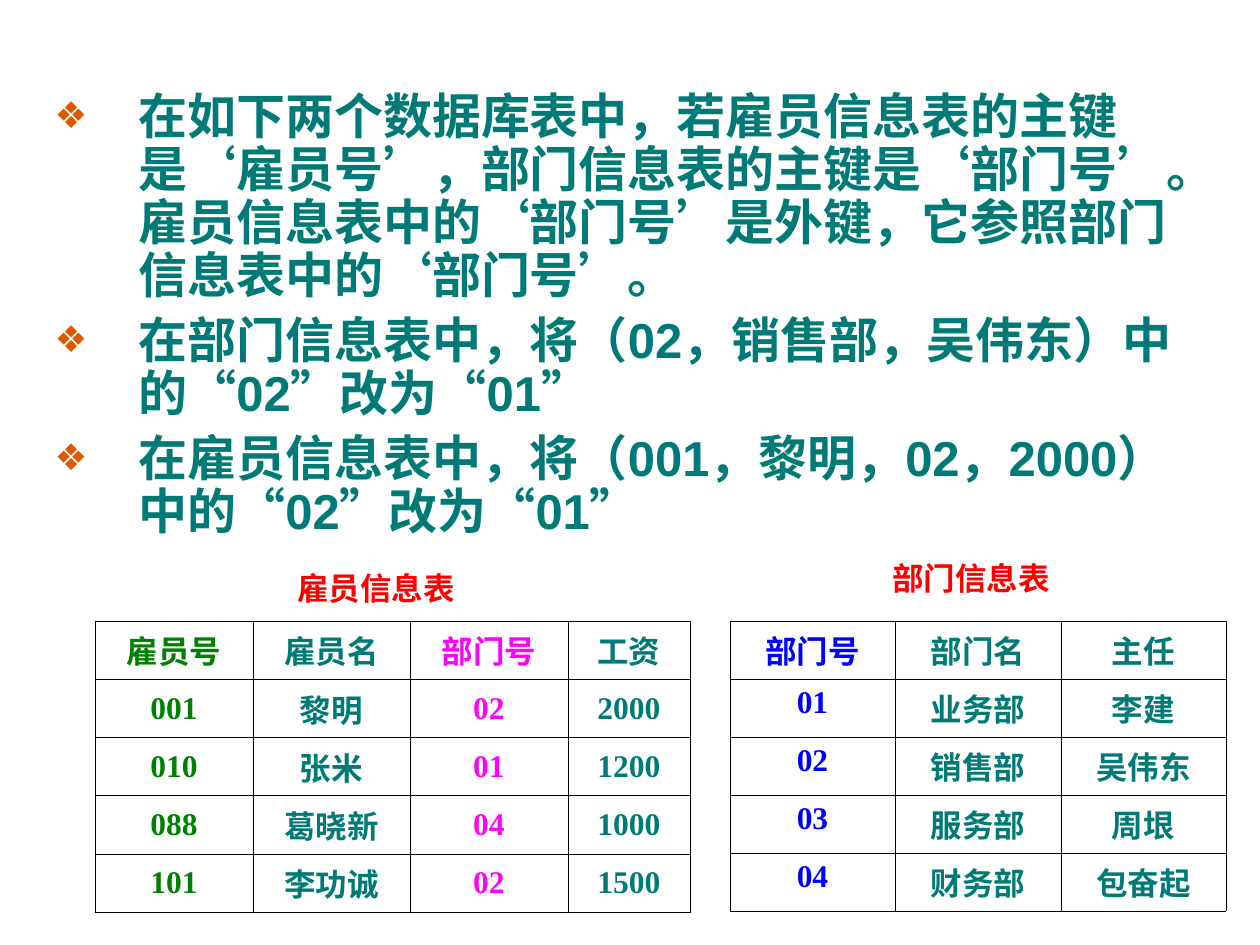
from lxml import etree
from pptx import Presentation, util as u
from pptx.dml.color import RGBColor
from pptx.enum import text
from pptx.oxml import ns

# Content
RULES = [
    "在如下两个数据库表中，若雇员信息表的主键是‘雇员号’，部门信息表的主键是‘部门号’。"
    "雇员信息表中的‘部门号’是外键，它参照部门信息表中的‘部门号’。",
    "在部门信息表中，将（02，销售部，吴伟东）中的“02”改为“01”",
    "在雇员信息表中，将（001，黎明，02，2000）中的“02”改为“01”",
]
TABLES = [
    {
        "caption": "雇员信息表", "caption_at": (285, 562),
        "left": 95, "widths": [158, 157, 158, 122],
        "colours": ["employee_key", "body", "foreign_key", "body"],
        "anchor": text.MSO_ANCHOR.MIDDLE,
        "rows": [
            ("雇员号", "雇员名", "部门号", "工资"),
            ("001", "黎明", "02", "2000"),
            ("010", "张米", "01", "1200"),
            ("088", "葛晓新", "04", "1000"),
            ("101", "李功诚", "02", "1500"),
        ],
    },
    {
        "caption": "部门信息表", "caption_at": (880, 552),
        "left": 730, "widths": [165, 166, 165],
        "colours": ["department_key", "body", "body"],
        "anchor": text.MSO_ANCHOR.TOP,
        "rows": [
            ("部门号", "部门名", "主任"),
            ("01", "业务部", "李建"),
            ("02", "销售部", "吴伟东"),
            ("03", "服务部", "周垠"),
            ("04", "财务部", "包奋起"),
        ],
    },
]
COLOURS = {
    "body": "007A77", "bullet": "DC5900", "caption": "FF0000",
    "employee_key": "008000", "foreign_key": "FF00FF",
    "department_key": "0000FF", "border": "000000", "cell": "FFFFFF",
}
TABLE_TOP, ROW_HEIGHT = 621, 58
CAPTION_SIZE = (189, 51)
INDENT = 84


def px(n):
    return n * u.Inches(1) // 126


def add_xml(parent, tag, **attributes):
    return etree.SubElement(parent, ns.qn(tag), attributes)


def style(paragraph, size, face, colour):
    for run in paragraph.runs:
        run.font.size = u.Pt(size)
        run.font.name = face
        run.font.bold = True
        run.font.color.rgb = RGBColor.from_string(COLOURS[colour])


def add_bullet(paragraph):
    properties = paragraph._p.get_or_add_pPr()
    properties.set("marL", str(px(INDENT)))
    properties.set("indent", str(-px(INDENT)))
    colour = add_xml(properties, "a:buClr")
    add_xml(colour, "a:srgbClr", val=COLOURS["bullet"])
    add_xml(properties, "a:buSzPct", val="75000")
    add_xml(properties, "a:buFont", typeface="Arial")
    add_xml(properties, "a:buChar", char="❖")


def add_borders(cell):
    properties = cell._tc.get_or_add_tcPr()
    for side in ("a:lnL", "a:lnR", "a:lnT", "a:lnB"):
        line = add_xml(properties, side, w=str(u.Pt(0.45)))
        fill = add_xml(line, "a:solidFill")
        add_xml(fill, "a:srgbClr", val=COLOURS["border"])


def add_caption(slide, spec_table):
    box = slide.shapes.add_textbox(
        *map(px, spec_table["caption_at"] + CAPTION_SIZE))
    frame = box.text_frame
    frame.word_wrap = False
    frame.auto_size = text.MSO_AUTO_SIZE.SHAPE_TO_FIT_TEXT
    frame.vertical_anchor = text.MSO_ANCHOR.MIDDLE
    frame.text = spec_table["caption"]
    style(frame.paragraphs[0], 18, "Arial", "caption")


def add_data_table(slide, data):
    rows, widths = data["rows"], data["widths"]
    grid = slide.shapes.add_table(
        len(rows), len(widths), px(data["left"]), px(TABLE_TOP),
        px(sum(widths)), px(ROW_HEIGHT * len(rows))).table
    grid.first_row = grid.horz_banding = False
    for column, width in zip(grid.columns, widths):
        column.width = px(width)
    for r, row in enumerate(rows):
        grid.rows[r].height = px(ROW_HEIGHT)
        for c, value in enumerate(row):
            cell = grid.cell(r, c)
            add_borders(cell)
            cell.fill.solid()
            cell.fill.fore_color.rgb = RGBColor.from_string(COLOURS["cell"])
            cell.vertical_anchor = data["anchor"]
            cell.text_frame.text = value
            paragraph = cell.text_frame.paragraphs[0]
            paragraph.alignment = text.PP_ALIGN.CENTER
            style(paragraph, 18, "Times New Roman", data["colours"][c])


def main():
    deck = Presentation()
    deck.slide_width, deck.slide_height = px(1260), px(945)
    slide = deck.slides.add_slide(deck.slide_layouts[1])
    title = slide.shapes.title._element
    title.getparent().remove(title)

    # Key rules and the two updates
    body = slide.placeholders[1]
    body.left, body.top, body.width, body.height = map(px, (42, 86, 1177, 466))
    frame = body.text_frame
    frame.auto_size = text.MSO_AUTO_SIZE.NONE
    frame.text = "\n".join(RULES)
    for i, paragraph in enumerate(frame.paragraphs):
        add_bullet(paragraph)
        paragraph.line_spacing = 0.9
        paragraph.space_before = u.Pt(7 if i else 0)
        style(paragraph, 28, "Arial", "body")

    # Employee and department tables
    for data in TABLES:
        add_data_table(slide, data)
        add_caption(slide, data)

    deck.save("out.pptx")


if __name__ == "__main__":
    main()
